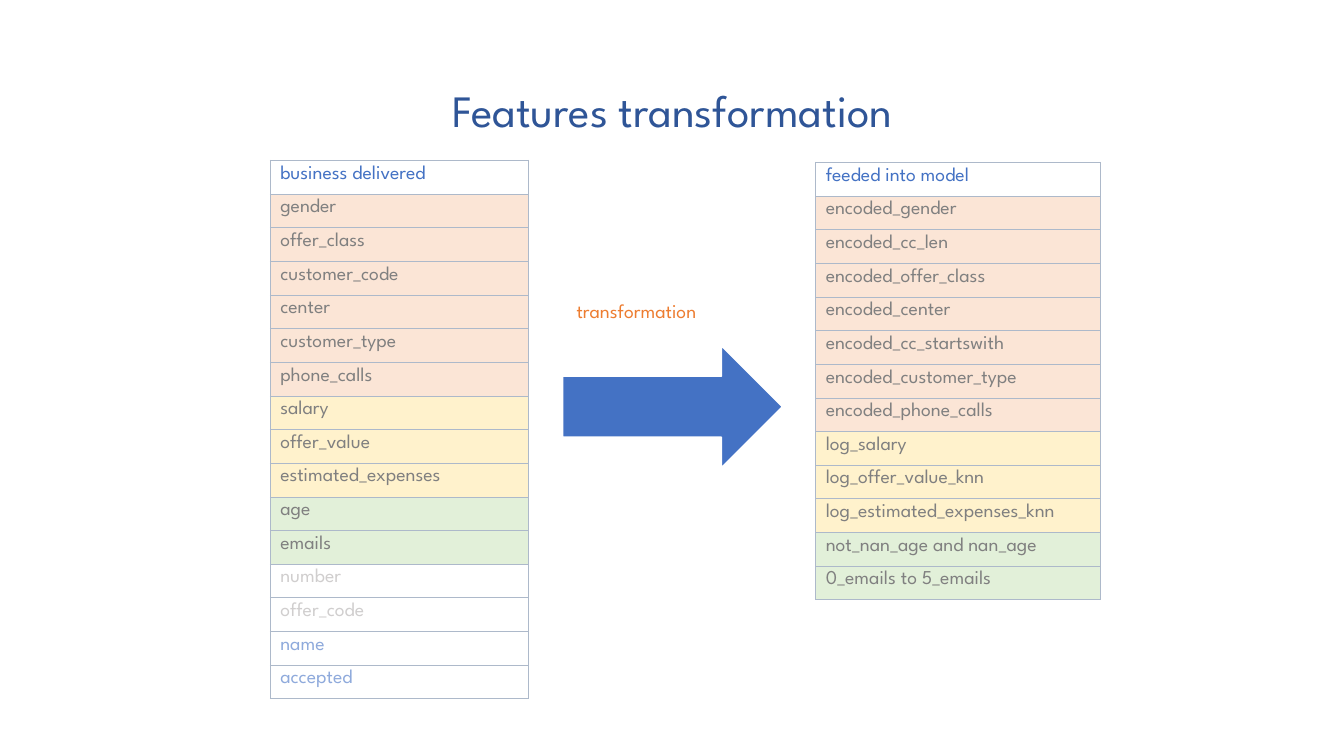
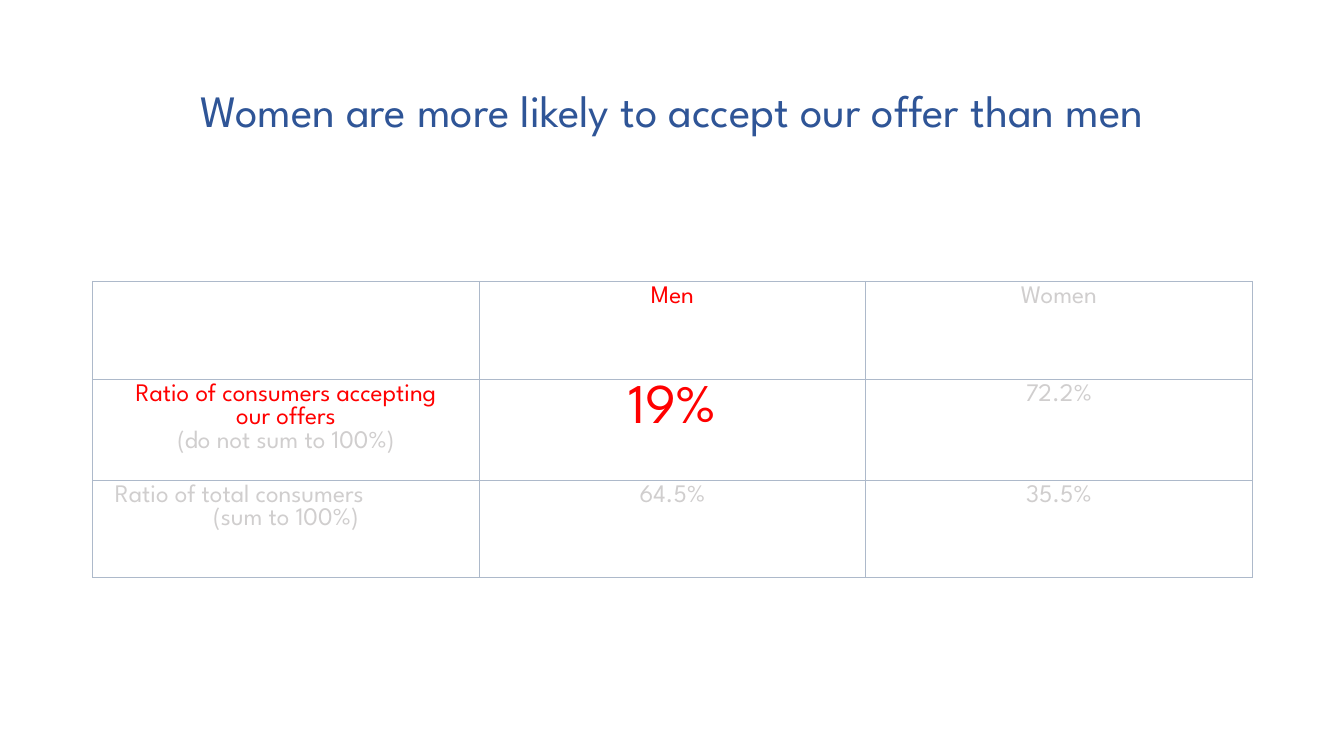
from lxml.etree import SubElement
from pptx import Presentation
from pptx.dml.color import RGBColor
from pptx.enum.shapes import MSO_SHAPE
from pptx.enum.text import MSO_ANCHOR, PP_ALIGN
from pptx.oxml.ns import qn
from pptx.util import Inches, Pt

# Shared look
FONT = "League Spartan"
NAVY = RGBColor(0x2F, 0x55, 0x97)
BLUE = RGBColor(0x44, 0x72, 0xC4)
PALE_BLUE = RGBColor(0x8F, 0xAA, 0xDC)
GRAY = RGBColor(0x80, 0x80, 0x80)
PALE_GRAY = RGBColor(0xD0, 0xCE, 0xCE)
ORANGE = RGBColor(0xED, 0x7D, 0x31)
RED = RGBColor(0xFF, 0x00, 0x00)
WHITE = RGBColor(0xFF, 0xFF, 0xFF)
PEACH = RGBColor(0xFB, 0xE5, 0xD6)
CREAM = RGBColor(0xFF, 0xF2, 0xCC)
MINT = RGBColor(0xE2, 0xF0, 0xD9)
BORDER = RGBColor(0xAD, 0xB9, 0xCA)

# Feature groups: text colour, fill, names
DELIVERED = [
    (BLUE, None, ["business delivered"]),
    (GRAY, PEACH, ["gender", "offer_class", "customer_code", "center",
                   "customer_type", "phone_calls"]),
    (GRAY, CREAM, ["salary", "offer_value", "estimated_expenses"]),
    (GRAY, MINT, ["age", "emails"]),
    (PALE_GRAY, None, ["number", "offer_code"]),
    (PALE_BLUE, None, ["name", "accepted"]),
]
MODEL_INPUT = [
    (BLUE, None, ["feeded into model"]),
    (GRAY, PEACH, ["encoded_gender", "encoded_cc_len", "encoded_offer_class",
                   "encoded_center", "encoded_cc_startswith",
                   "encoded_customer_type", "encoded_phone_calls"]),
    (GRAY, CREAM, ["log_salary", "log_offer_value_knn",
                   "log_estimated_expenses_knn"]),
    (GRAY, MINT, ["not_nan_age and nan_age", "0_emails to 5_emails"]),
]

# Ratio table: each cell is a list of (text, colour, size) lines
RATIOS = [
    [[], [("Men", RED, 18)], [("Women", PALE_GRAY, 18)]],
    [[("Ratio of consumers accepting", RED, 18), ("our offers", RED, 18),
      ("(do not sum to 100%)", PALE_GRAY, 18)],
     [("19%", RED, 40)], [("72.2%", PALE_GRAY, 18)]],
    [[("Ratio of total consumers", PALE_GRAY, 18),
      ("(sum to 100%)", PALE_GRAY, 18)],
     [("64.5%", PALE_GRAY, 18)], [("35.5%", PALE_GRAY, 18)]],
]


def write_lines(frame, lines, align=PP_ALIGN.LEFT):
    for index, (text, color, size) in enumerate(lines):
        paragraph = frame.paragraphs[0] if index == 0 else frame.add_paragraph()
        paragraph.alignment = align
        run = paragraph.add_run()
        run.text = text
        run.font.color.rgb = color
        for name, value in {"name": FONT, "size": Pt(size)}.items():
            setattr(run.font, name, value)


def add_label(slide, left, top, width, height, line, align=PP_ALIGN.LEFT):
    box = slide.shapes.add_textbox(Inches(left), Inches(top),
                                   Inches(width), Inches(height))
    box.text_frame.word_wrap = True
    write_lines(box.text_frame, [line], align)
    return box.text_frame


def add_titled_slide(deck, title):
    slide = deck.slides.add_slide(deck.slide_layouts[6])
    heading = add_label(slide, 0.92, 0.4, 11.5, 1.45, (title, NAVY, 32),
                        PP_ALIGN.CENTER)
    heading.vertical_anchor = MSO_ANCHOR.MIDDLE
    heading.paragraphs[0].line_spacing = 0.9
    return slide


def style_cell(cell, fill=None):
    properties = cell._tc.get_or_add_tcPr()
    for side in ("a:lnL", "a:lnR", "a:lnT", "a:lnB"):
        edge = SubElement(properties, qn(side), w=str(Pt(0.5)))
        color = SubElement(edge, qn("a:solidFill"))
        SubElement(color, qn("a:srgbClr"), val=str(BORDER))
    if fill is None:
        cell.fill.background()
    else:
        cell.fill.solid()
        cell.fill.fore_color.rgb = fill


def add_plain_table(slide, left, top, width, row_heights, columns=1):
    table = slide.shapes.add_table(
        len(row_heights), columns, Inches(left), Inches(top),
        Inches(width), Inches(sum(row_heights))).table
    for flag in ("first_row", "horz_banding"):
        setattr(table, flag, False)
    for row, height in zip(table.rows, row_heights):
        row.height = Inches(height)
    return table


def add_feature_list(slide, left, top, width, groups):
    features = [(name, color, fill) for color, fill, names in groups
                for name in names]
    heights = [0.28] + [0.32] * (len(features) - 1)
    table = add_plain_table(slide, left, top, width, heights)
    for index, (name, color, fill) in enumerate(features):
        cell = table.cell(index, 0)
        style_cell(cell, fill)
        write_lines(cell.text_frame, [(name, color, 14)])


def add_ratio_table(slide):
    table = add_plain_table(slide, 0.92, 2.79, 11.5, [0.97] * 3, 3)
    for row, contents in enumerate(RATIOS):
        for column, lines in enumerate(contents):
            cell = table.cell(row, column)
            style_cell(cell)
            write_lines(cell.text_frame, lines, PP_ALIGN.CENTER)
    # The total's first line is left-aligned with a small indent
    total = table.cell(2, 0).text_frame.paragraphs[0]
    total.alignment = PP_ALIGN.LEFT
    total._p.get_or_add_pPr().set("marL", str(Inches(0.12)))


def add_block_arrow(slide):
    arrow = slide.shapes.add_shape(MSO_SHAPE.RIGHT_ARROW, Inches(5.58),
                                   Inches(3.43), Inches(2.18), Inches(1.21))
    arrow.shadow.inherit = False
    arrow.fill.solid()
    arrow.fill.fore_color.rgb = BLUE
    arrow.line.color.rgb = WHITE
    arrow.line.width = Pt(1)


def main():
    deck = Presentation()
    deck.slide_width, deck.slide_height = Inches(13.33), Inches(7.5)

    # Features before and after
    features = add_titled_slide(deck, "Features transformation")
    add_block_arrow(features)
    add_feature_list(features, 2.68, 1.59, 2.56, DELIVERED)
    add_feature_list(features, 8.09, 1.61, 2.82, MODEL_INPUT)
    add_label(features, 5.62, 2.92, 1.73, 0.34, ("transformation", ORANGE, 14))

    # Acceptance by gender
    acceptance = add_titled_slide(
        deck, "Women are more likely to accept our offer than men")
    add_ratio_table(acceptance)

    deck.save("out.pptx")


main()
